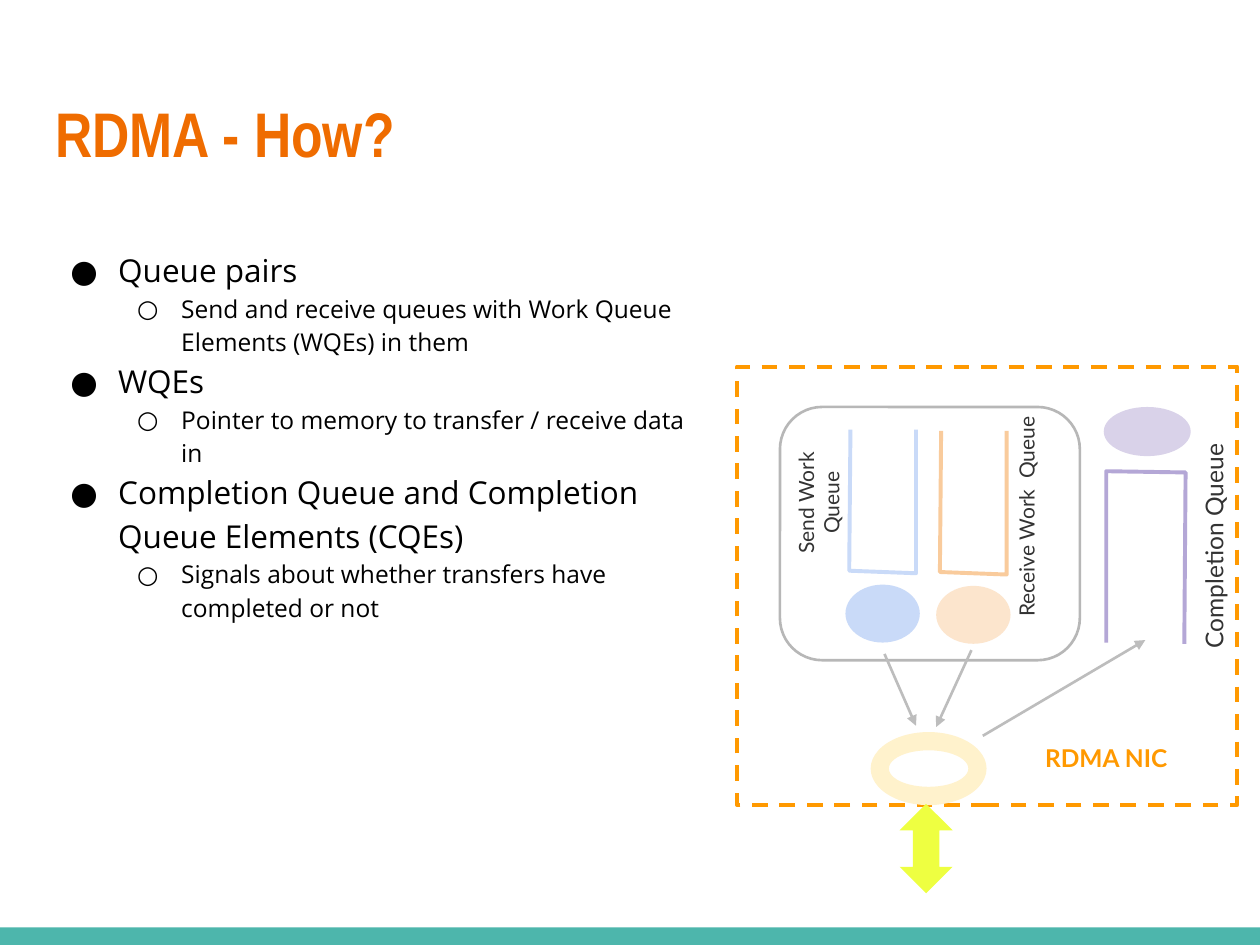
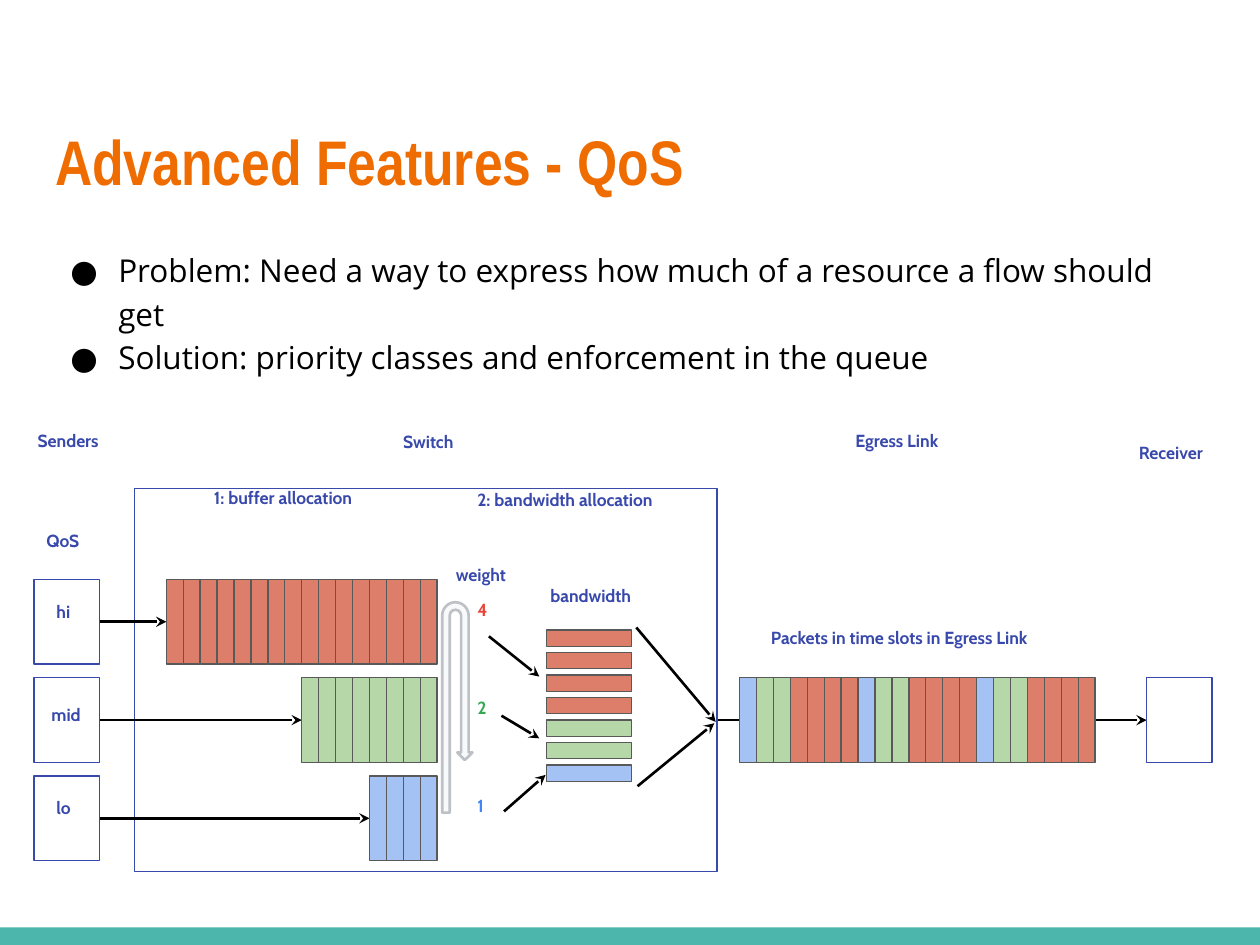
from lxml import etree
from pptx import Presentation
from pptx import util as u
from pptx.dml import color
from pptx.enum import dml, shapes, text
from pptx.oxml import ns

ORANGE, TEAL, INDIGO = "EF6C00", "4DB6AC", "3949AB"
BLACK, DARK, GREY, AMBER = "000000", "333333", "BDBDBD", "FF9900"
PACKET_LINE = "595959"
PACKETS = {"R": "DD7E6B", "G": "B6D7A8", "B": "A4C2F4"}
BULLETS = [("●", 18, 0.5, 0.38), ("○", 14, 1, 0.35)]

HOW_TITLE = ("RDMA - How?", (0.34, 0.65, 9.32, 1.03))
HOW_BODY = (0.34, 1.85, 5.3, 4.82)
HOW_POINTS = [
    (0, "Queue pairs"),
    (1, "Send and receive queues with Work Queue Elements (WQEs) in them"),
    (0, "WQEs"),
    (1, "Pointer to memory to transfer / receive data in"),
    (0, "Completion Queue and Completion Queue Elements (CQEs)"),
    (1, "Signals about whether transfers have completed or not"),
]
QUEUES = [
    ("C9DAF8", [(6.75, 3.41), (6.74, 4.53), (7.27, 4.55), (7.27, 3.41)]),
    ("F9CB9C", [(7.47, 3.42), (7.46, 4.54), (7.99, 4.56), (7.99, 3.42)]),
    ("B4A7D6", [(8.78, 5.1), (8.78, 3.74), (9.41, 3.75), (9.4, 5.11)]),
]
NIC_PARTS = [
    ("OVAL", (6.71, 4.64, 0.59, 0.46), "C9DAF8"),
    ("OVAL", (7.43, 4.65, 0.59, 0.46), "FCE5CD"),
    ("OVAL", (8.76, 3.23, 0.69, 0.39), "D9D2E9"),
    ("DONUT", (6.91, 5.81, 0.92, 0.58), "FFF2CC"),
    ("UP_DOWN_ARROW", (7.14, 6.38, 0.42, 0.71), "EEFF41"),
]
NIC_ARROWS = [
    ((7.02, 5.19), (7.27, 5.76)),
    ((7.71, 5.16), (7.43, 5.77)),
    ((7.8, 5.84), (9.09, 5.08)),
]
NIC_LABELS = [
    ("Send Work Queue", (5.79, 3.71, 1.37, 0.56), dict(size=12, rotation=270)),
    ("Receive Work  Queue", (7.33, 3.79, 1.85, 0.62), dict(size=12, rotation=270)),
    ("Completion Queue", (8.16, 4.16, 2.86, 0.35), dict(size=14, rotation=270)),
    ("RDMA NIC", (7.75, 5.8, 2.06, 0.59), dict(size=14, colour=AMBER, bold=True)),
]

QOS_TITLE = ("Advanced Features - QoS", (0.34, 0.87, 9.32, 1.38))
QOS_BODY = (0.34, 1.85, 9.32, 1.65)
QOS_POINTS = [
    (0, "Problem: Need a way to express how much of a resource a flow should get"),
    (0, "Solution: priority classes and enforcement in the queue"),
]
QOS_CLASSES = [
    ("hi", (0.35, 4.69, 0.36, 0.5), "4", "EA4335", "R", 16),
    ("mid", (0.31, 5.5, 0.48, 0.43), "2", "34A853", "G", 8),
    ("lo", (0.35, 6.24, 0.36, 0.5), "1", "4285F4", "B", 4),
]
QOS_LABELS = [
    ("Senders", (0.2, 3.33, 0.75, 0.43)),
    ("Egress Link", (6.69, 3.33, 1.41, 0.43)),
    ("Receiver", (8.94, 3.42, 1.02, 0.35)),
    ("QoS", (0.27, 4.12, 0.63, 0.5)),
    ("1: buffer allocation", (1.6, 3.78, 1.57, 0.43)),
    ("2: bandwidth allocation", (3.69, 3.8, 1.8, 0.43)),
    ("weight", (3.52, 4.39, 0.75, 0.5)),
    ("bandwidth", (4.27, 4.56, 1.02, 0.5)),
    ("Packets in time slots in Egress Link", (6.02, 4.89, 2.92, 0.43)),
]
SCHEDULER_ARROWS = [
    ((3.88, 5.05), (4.28, 5.37)),
    ((3.98, 5.68), (4.28, 5.86)),
    ((4, 6.44), (4.33, 6.15)),
    ((5.05, 4.98), (5.68, 5.73)),
    ((5.06, 6.24), (5.67, 5.74)),
]
BANDWIDTH_SLOTS = "RRRRGGB"
EGRESS_SLOTS = "BGGRRRR" * 3
CLASS_TOP, CLASS_PITCH = 4.6, 0.78
BOX_WIDTH, BOX_HEIGHT = 0.52, 0.67
SENDER_LEFT, RECEIVER_LEFT = 0.27, 9.1
BUFFER_RIGHT, BUFFER_PITCH = 3.47, 2.15 / 16
EGRESS_LEFT = 5.87
BANDWIDTH_LEFT, BANDWIDTH_TOP, BANDWIDTH_PITCH = 4.34, 5, 1.25 / 7


def rgb(value):
    return color.RGBColor.from_string(value)


def inches(values):
    return [u.Inches(value) for value in values]


def paint(shape, fill=None, line=None, width=0.75):
    shape.shadow.inherit = False
    if fill:
        shape.fill.solid()
        shape.fill.fore_color.rgb = rgb(fill)
    else:
        shape.fill.background()
    if line:
        shape.line.color.rgb = rgb(line)
        shape.line.width = u.Pt(width)
    else:
        shape.line.fill.background()
    return shape


def add_shape(slide, kind, box, **style):
    preset = getattr(shapes.MSO_SHAPE, kind)
    return paint(slide.shapes.add_shape(preset, *inches(box)), **style)


def add_arrow(slide, start, end, colour=BLACK, head="stealth"):
    arrow = slide.shapes.add_connector(shapes.MSO_CONNECTOR.STRAIGHT, *inches(start + end))
    arrow.line.color.rgb = rgb(colour)
    arrow.line.width = u.Pt(1.5)
    etree.SubElement(arrow.line._get_or_add_ln(), ns.qn("a:tailEnd"), type=head)
    etree.SubElement(arrow._element.spPr, ns.qn("a:effectLst"))


def add_frame(slide, box, rotation=0):
    frame_box = slide.shapes.add_textbox(*inches(box))
    frame_box.rotation = rotation
    frame = frame_box.text_frame
    frame.word_wrap = True
    frame.margin_left = frame.margin_right = u.Inches(0.1)
    frame.margin_top = frame.margin_bottom = u.Inches(0.1)
    return frame


def write(paragraph, words, font="Cabin", size=10, colour=INDIGO, bold=False, centred=False):
    if centred:
        paragraph.alignment = text.PP_ALIGN.CENTER
    run = paragraph.add_run()
    run.text = words
    run.font.name = font
    run.font.size = u.Pt(size)
    run.font.bold = bold
    run.font.color.rgb = rgb(colour)


def add_text(slide, words, box, rotation=0, **style):
    write(add_frame(slide, box, rotation).paragraphs[0], words, **style)


def add_bullets(slide, points, box):
    frame = add_frame(slide, box)
    for index, (level, words) in enumerate(points):
        paragraph = frame.add_paragraph() if index else frame.paragraphs[0]
        mark, size, margin, hanging = BULLETS[level]
        paragraph.level = level
        paragraph.line_spacing = 1.15
        properties = paragraph._p.get_or_add_pPr()
        properties.set("marL", str(u.Inches(margin)))
        properties.set("indent", str(-u.Inches(hanging)))
        bullet_colour = etree.SubElement(properties, ns.qn("a:buClr"))
        etree.SubElement(bullet_colour, ns.qn("a:srgbClr"), val=BLACK)
        etree.SubElement(properties, ns.qn("a:buFont"), typeface="Open Sans")
        etree.SubElement(properties, ns.qn("a:buChar"), char=mark)
        write(paragraph, words, font="Open Sans", size=size, colour=BLACK)


def add_slide(presentation, title, points, body):
    slide = presentation.slides.add_slide(presentation.slide_layouts[6])
    add_shape(slide, "RECTANGLE", (0, 7.36, 10, 0.14), fill=TEAL)
    add_text(slide, *title, font="Arial Narrow", size=36, colour=ORANGE, bold=True)
    add_bullets(slide, points, body)
    return slide


def add_packet(slide, slot, box):
    add_shape(slide, "RECTANGLE", box, fill=PACKETS[slot], line=PACKET_LINE)


def add_packet_row(slide, slots, left, top):
    for index, slot in enumerate(slots):
        add_packet(slide, slot, (left + index * BUFFER_PITCH, top, BUFFER_PITCH, BOX_HEIGHT))


def add_queue(slide, colour, points):
    corners = [tuple(inches(point)) for point in points]
    builder = slide.shapes.build_freeform(*corners[0])
    builder.add_line_segments(corners[1:], close=False)
    paint(builder.convert_to_shape(), line=colour, width=2.25)


def build_how(presentation):
    slide = add_slide(presentation, HOW_TITLE, HOW_POINTS, HOW_BODY)
    add_shape(slide, "ROUNDED_RECTANGLE", (6.19, 3.23, 2.38, 2.01), line="B7B7B7", width=1.5)
    nic = add_shape(slide, "RECTANGLE", (5.85, 2.91, 3.97, 3.48), line=AMBER, width=2.25)
    nic.line.dash_style = dml.MSO_LINE.DASH
    for colour, points in QUEUES:
        add_queue(slide, colour, points)
    for kind, box, fill in NIC_PARTS:
        add_shape(slide, kind, box, fill=fill)
    for start, end in NIC_ARROWS:
        add_arrow(slide, start, end, colour=GREY, head="triangle")
    for words, box, style in NIC_LABELS:
        add_text(slide, words, box, **{"font": "Lato", "colour": DARK, "centred": True, **style})


def build_qos(presentation):
    slide = add_slide(presentation, QOS_TITLE, QOS_POINTS, QOS_BODY)
    add_shape(slide, "RECTANGLE", (1.07, 3.88, 4.62, 3.04), line=INDIGO)
    for words, box in QOS_LABELS:
        add_text(slide, words, box, bold=True)
    add_text(slide, "Switch", (2.85, 3.34, 1.1, 0.43), bold=True, centred=True)

    for index, (name, name_box, weight, colour, slot, count) in enumerate(QOS_CLASSES):
        top = CLASS_TOP + index * CLASS_PITCH
        middle = top + BOX_HEIGHT / 2
        buffer_left = BUFFER_RIGHT - count * BUFFER_PITCH
        add_shape(slide, "RECTANGLE", (SENDER_LEFT, top, BOX_WIDTH, BOX_HEIGHT), line=INDIGO)
        add_text(slide, name, name_box, bold=True)
        add_arrow(slide, (SENDER_LEFT + BOX_WIDTH, middle), (buffer_left, middle))
        add_packet_row(slide, slot * count, buffer_left, top)
        add_text(slide, weight, (3.69, top + 0.07, 0.46, 0.43), colour=colour, bold=True)

    link_top = CLASS_TOP + CLASS_PITCH
    link_middle = link_top + BOX_HEIGHT / 2
    add_arrow(slide, (5.7, link_middle), (RECEIVER_LEFT, link_middle))
    add_shape(slide, "RECTANGLE", (RECEIVER_LEFT, link_top, BOX_WIDTH, BOX_HEIGHT), line=INDIGO)
    add_packet_row(slide, EGRESS_SLOTS, EGRESS_LEFT, link_top)
    for index, slot in enumerate(BANDWIDTH_SLOTS):
        top = BANDWIDTH_TOP + index * BANDWIDTH_PITCH
        add_packet(slide, slot, (BANDWIDTH_LEFT, top, BOX_HEIGHT, 0.13))
    for start, end in SCHEDULER_ARROWS:
        add_arrow(slide, start, end)
    turn = add_shape(slide, "U_TURN_ARROW", (3.51, 4.78, 0.24, 1.67),
                     fill="F8F9FA", line="BDC1C6", width=1.5)
    for index, value in enumerate((0.25, 0.25, 0.25, 0.44, 0.75)):
        turn.adjustments[index] = value


def main():
    presentation = Presentation()
    presentation.slide_width, presentation.slide_height = inches((10, 7.5))
    build_how(presentation)
    build_qos(presentation)
    presentation.save("out.pptx")


if __name__ == "__main__":
    main()
